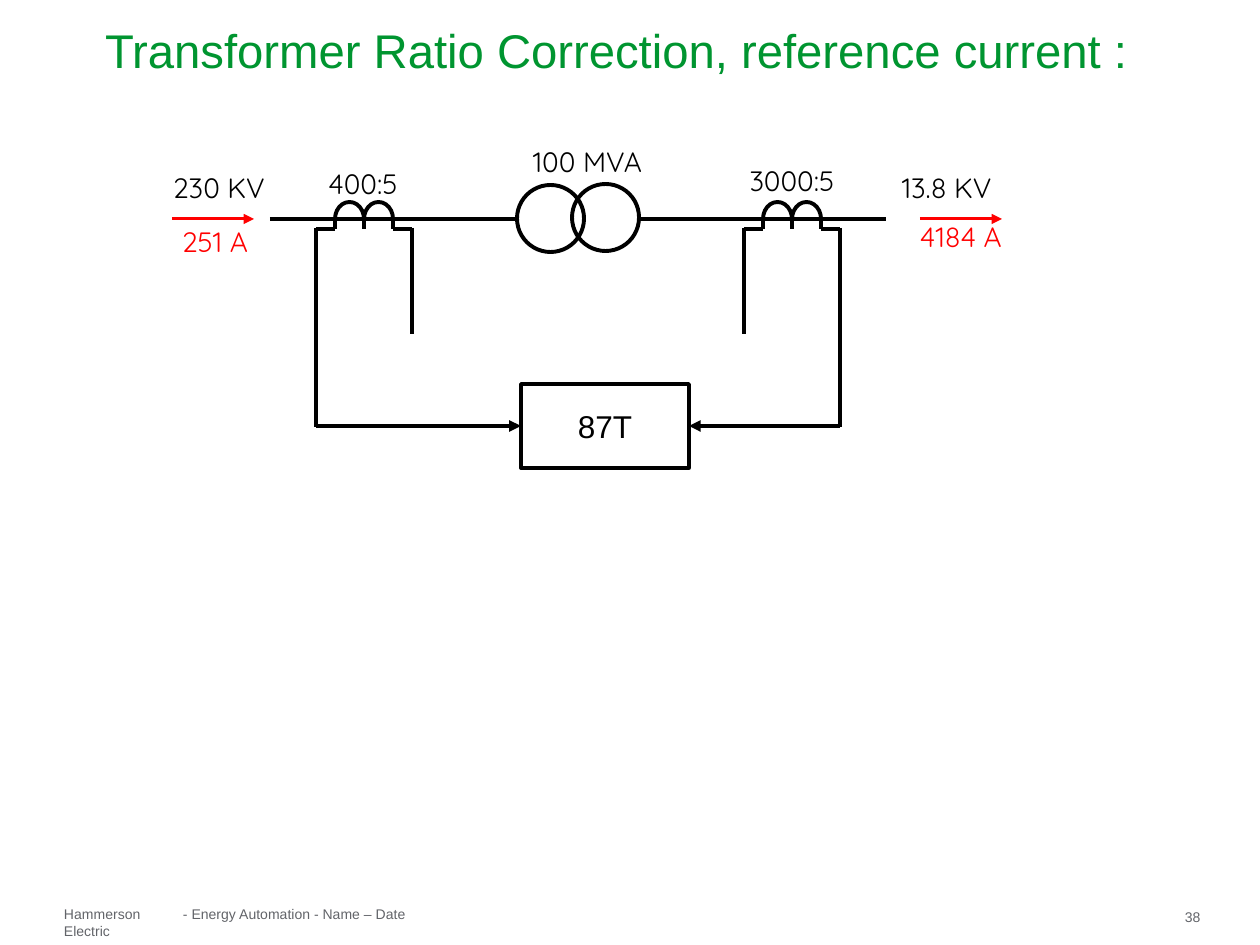
from lxml import etree
from pptx import Presentation
from pptx.dml.color import RGBColor
from pptx.enum.shapes import MSO_CONNECTOR, MSO_SHAPE
from pptx.enum.text import MSO_ANCHOR, MSO_AUTO_SIZE, PP_ALIGN
from pptx.oxml.ns import qn
from pptx.util import Emu, Pt

STRAIGHT = MSO_CONNECTOR.STRAIGHT
RECT, OVAL, ARC = MSO_SHAPE.RECTANGLE, MSO_SHAPE.OVAL, MSO_SHAPE.ARC
LEFT, CENTER = PP_ALIGN.LEFT, PP_ALIGN.CENTER
TOP, MIDDLE = MSO_ANCHOR.TOP, MSO_ANCHOR.MIDDLE
FIXED = MSO_AUTO_SIZE.NONE
BLACK, WHITE, RED, GREEN, GRAY = "000000", "FFFFFF", "FF0000", "009530", "626469"
BUS, FOOT, RELAY = 219, 229, 426


def px(num):
    """Turn pixels at 126 to the inch into EMU."""
    return Emu(round(num * 914400 / 126))


def color(code):
    """Turn a hex string into a colour."""
    return RGBColor.from_string(code)


def write(shape, text, size, font, tint, align=LEFT, anchor=TOP, inset=0):
    """Set and format the text of a shape."""
    frame = shape.text_frame
    frame.text = text
    frame.word_wrap = True
    frame.auto_size = FIXED
    frame.vertical_anchor = anchor
    frame.margin_left = frame.margin_right = px(inset)
    frame.margin_top = frame.margin_bottom = px(inset)
    para = frame.paragraphs[0]
    para.alignment = align
    face = para.runs[0].font
    face.size, face.name = Pt(size), font
    face.color.rgb = color(tint)


def add_text(slide, box, text, size, font, tint, align=LEFT, inset=0):
    """Add a text box."""
    shape = slide.shapes.add_textbox(*map(px, box))
    write(shape, text, size, font, tint, align, inset=inset)


def add_label(slide, left, top, text, tint=BLACK, align=CENTER):
    """Add a label of the circuit."""
    add_text(slide, (left, top, 140, 34), text, 16, "Quicksand", tint, align, 1)


def add_line(slide, start, end, tint=BLACK, width=2.25, arrow=False):
    """Add a straight line, with an arrowhead at its end if asked."""
    line = slide.shapes.add_connector(STRAIGHT, *map(px, start + end))
    line.line.width = Pt(width)
    line.line.color.rgb = color(tint)
    if arrow:
        etree.SubElement(line.line._get_or_add_ln(), qn("a:tailEnd"), type="triangle")
    etree.SubElement(line._element.spPr, qn("a:effectLst"))
    return line


def add_form(slide, kind, box, width=2.25):
    """Add an unfilled outline shape."""
    shape = slide.shapes.add_shape(kind, *map(px, box))
    shape.shadow.inherit = False
    shape.fill.background()
    shape.line.width = Pt(width)
    shape.line.color.rgb = color(BLACK)
    return shape


def add_coil(slide, left, step=29, stub=19):
    """Add a current transformer of two humps and three legs; return its ends."""
    mid, right = left + step, left + 2 * step
    for start in (left, mid):
        hump = add_form(slide, ARC, (start, 202, step, 34))
        hump.adjustments[0], hump.adjustments[1] = 108, 0
    for leg in (left, mid, right):
        add_line(slide, (leg, BUS - 1), (leg, FOOT))
    ends = left - stub, right + stub
    add_line(slide, (ends[0], FOOT), (left, FOOT))
    add_line(slide, (right, FOOT), (ends[1], FOOT))
    return ends


def add_relay(slide):
    """Add the relay box."""
    relay = add_form(slide, RECT, (521, RELAY - 42, 168, 84), 2)
    relay.fill.solid()
    relay.fill.fore_color.rgb = color(WHITE)
    write(relay, "87T", 18, "Arial", BLACK, CENTER, MIDDLE)
    return relay


def add_lead(slide, outer, inner, relay, side):
    """Wire a current transformer to one side of the relay."""
    add_line(slide, (inner, FOOT - 1), (inner, 334))
    add_line(slide, (outer, FOOT - 1), (outer, RELAY + 1))
    wire = add_line(slide, (outer, RELAY), (521, RELAY), arrow=True)
    wire.end_connect(relay, side)


def main():
    """Build the slide."""
    deck = Presentation()
    deck.slide_width, deck.slide_height = px(1260), px(945)
    slide = deck.slides.add_slide(deck.slide_layouts[5])
    title = slide.shapes.title
    title.left, title.top, title.width, title.height = map(px, (105, 11, 1112, 77))
    write(title, "Transformer Ratio Correction, reference current :",
          27, "Arial", GREEN, anchor=MIDDLE)

    for left, width, top, text in (
        (64, 113, 906, "Hammerson Electric"),
        (183, 228, 906, "- Energy Automation - Name – Date"),
        (1185, 40, 909, "38"),
    ):
        add_text(slide, (left, top, width, 16), text, 8, "Arial", GRAY)

    for start, end in ((270, 517), (640, 886)):
        add_line(slide, (start, BUS), (end, BUS))
    for left, top in ((517, 185), (572, 184)):
        add_form(slide, OVAL, (left, top, 67, 67))

    relay = add_relay(slide)
    outer, inner = add_coil(slide, 335)
    add_lead(slide, outer, inner, relay, 1)
    inner, outer = add_coil(slide, 763)
    add_lead(slide, outer, inner, relay, 3)

    for left, top, text in (
        (172, 170, "230 KV"), (901, 170, "13.8 KV"), (532, 144, "100 MVA"),
    ):
        add_label(slide, left, top, text, align=LEFT)
    add_label(slide, 293, 166, "400:5")
    add_label(slide, 722, 163, "3000:5")
    for start, left, top, text in ((172, 145, 224, "251 A"), (920, 891, 219, "4184 A")):
        add_line(slide, (start, BUS), (start + 82, BUS), RED, 1.75, True)
        add_label(slide, left, top, text, RED)

    deck.save("out.pptx")


if __name__ == "__main__":
    main()
